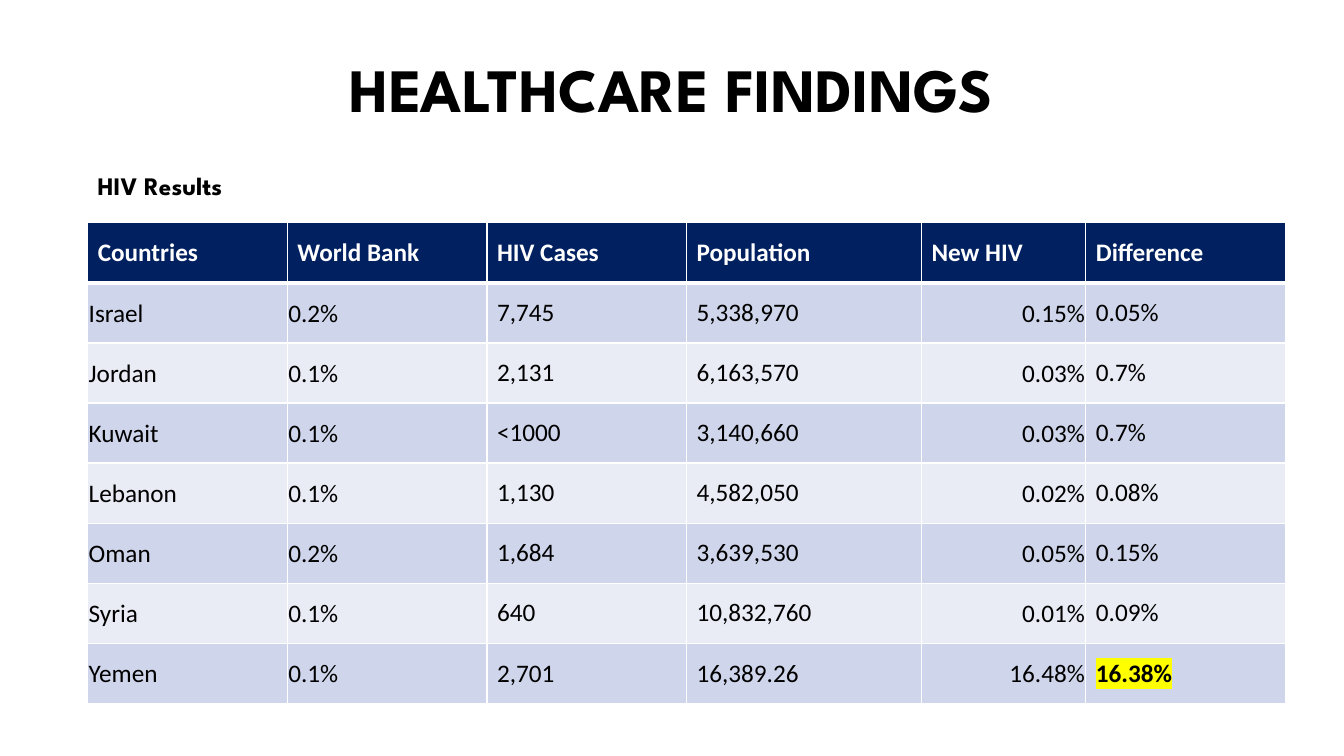
from dataclasses import dataclass

from lxml import etree
from pptx import Presentation
from pptx.dml.color import RGBColor
from pptx.enum.text import MSO_ANCHOR, MSO_AUTO_SIZE, PP_ALIGN
from pptx.oxml.ns import qn
from pptx.util import Inches, Pt

MIDDLE = MSO_ANCHOR.MIDDLE
LEFT, CENTER, RIGHT = PP_ALIGN.LEFT, PP_ALIGN.CENTER, PP_ALIGN.RIGHT
NO_FIT, GROW = MSO_AUTO_SIZE.NONE, MSO_AUTO_SIZE.SHAPE_TO_FIT_TEXT


@dataclass(frozen=True)
class Theme:
    ink: str = "000000"
    paper: str = "FFFFFF"
    head: str = "002060"
    bands: tuple = ("CFD5EA", "E9EBF5")
    mark: str = "FFFF00"
    display: str = "League Spartan"
    body: str = "Calibri"
    title: int = 44
    text: int = 18


THEME = Theme()
HEADS = ("Countries", "World Bank", "HIV Cases", "Population", "New HIV", "Difference")
ROWS = (
    ("Israel", "0.2%", "7,745", "5,338,970", "0.15%", "0.05%"),
    ("Jordan", "0.1%", "2,131", "6,163,570", "0.03%", "0.7%"),
    ("Kuwait", "0.1%", "<1000", "3,140,660", "0.03%", "0.7%"),
    ("Lebanon", "0.1%", "1,130", "4,582,050", "0.02%", "0.08%"),
    ("Oman", "0.2%", "1,684", "3,639,530", "0.05%", "0.15%"),
    ("Syria", "0.1%", "640", "10,832,760", "0.01%", "0.09%"),
    ("Yemen", "0.1%", "2,701", "16,389.26", "16.48%", "16.38%"),
)
WIDTHS = (1.98, 1.98, 1.98, 2.33, 1.63, 1.98)
TIGHT = (0, 1, 4)
RATE = 4


def apply(item, values):
    for name, value in values.items():
        setattr(item, name, value)


def write(frame, text, face, size, color, bold, align=LEFT):
    para = frame.paragraphs[0]
    para.alignment = align
    run = para.add_run()
    run.text = text
    apply(run.font, {"name": face, "size": Pt(size), "bold": bold})
    run.font.color.rgb = RGBColor.from_string(color)
    return run


def place(shape, left, top, width, height):
    apply(shape, {"left": Inches(left), "top": Inches(top),
                  "width": Inches(width), "height": Inches(height)})


def add_title(slide, text):
    title = slide.shapes.title
    place(title, 0, 0.19, 13.33, 1.45)
    frame = title.text_frame
    apply(frame, {"word_wrap": True, "auto_size": NO_FIT, "vertical_anchor": MIDDLE})
    write(frame, text, THEME.display, THEME.title, THEME.ink, True, CENTER)
    frame.paragraphs[0].line_spacing = 0.9


def add_label(slide, text):
    box = slide.shapes.add_textbox(Inches(0.87), Inches(1.64), Inches(2.35), Inches(0.4))
    apply(box.text_frame, {"word_wrap": True, "auto_size": GROW})
    write(box.text_frame, text, THEME.display, THEME.text, THEME.ink, True)


def add_color(node, color):
    etree.SubElement(node, qn("a:srgbClr"), val=color)


def add_edges(cell, row):
    props = cell._tc.get_or_add_tcPr()
    wide = {"lnT": row == 1, "lnB": row == 0}
    for side in ("lnL", "lnR", "lnT", "lnB"):
        points = 3 if wide.get(side) else 1
        line = etree.SubElement(props, qn(f"a:{side}"), w=str(Pt(points)))
        add_color(etree.SubElement(line, qn("a:solidFill")), THEME.paper)


def add_mark(run):
    fill = run._r.rPr.find(qn("a:solidFill"))
    mark = etree.Element(qn("a:highlight"))
    add_color(mark, THEME.mark)
    fill.addnext(mark)


def fill_cell(cell, text, row, col):
    head = row == 0
    last = row == len(ROWS) and col == len(HEADS) - 1
    add_edges(cell, row)
    cell.fill.solid()
    fill = THEME.head if head else THEME.bands[(row - 1) % 2]
    cell.fill.fore_color.rgb = RGBColor.from_string(fill)
    cell.vertical_anchor = MIDDLE
    if not head and col in TIGHT:
        slim = Inches(0.01)
        apply(cell, {"margin_left": slim, "margin_top": slim,
                     "margin_right": slim, "margin_bottom": 0})
    color = THEME.paper if head else THEME.ink
    align = RIGHT if col == RATE and not head else LEFT
    run = write(cell.text_frame, text, THEME.body, THEME.text, color, head or last, align)
    if last:
        add_mark(run)


def add_grid(slide):
    data = (HEADS, *ROWS)
    frame = slide.shapes.add_table(len(data), len(HEADS), Inches(0.87), Inches(2.21),
                                   Inches(sum(WIDTHS)), Inches(4.77))
    table = frame.table
    for col, width in zip(table.columns, WIDTHS):
        col.width = Inches(width)
    for row, texts in enumerate(data):
        for col, text in enumerate(texts):
            fill_cell(table.cell(row, col), text, row, col)


def main():
    deck = Presentation()
    apply(deck, {"slide_width": Inches(13.33), "slide_height": Inches(7.5)})
    slide = deck.slides.add_slide(deck.slide_layouts[5])
    add_grid(slide)
    add_title(slide, "HEALTHCARE FINDINGS")
    add_label(slide, "HIV Results")
    deck.save("out.pptx")


if __name__ == "__main__":
    main()
